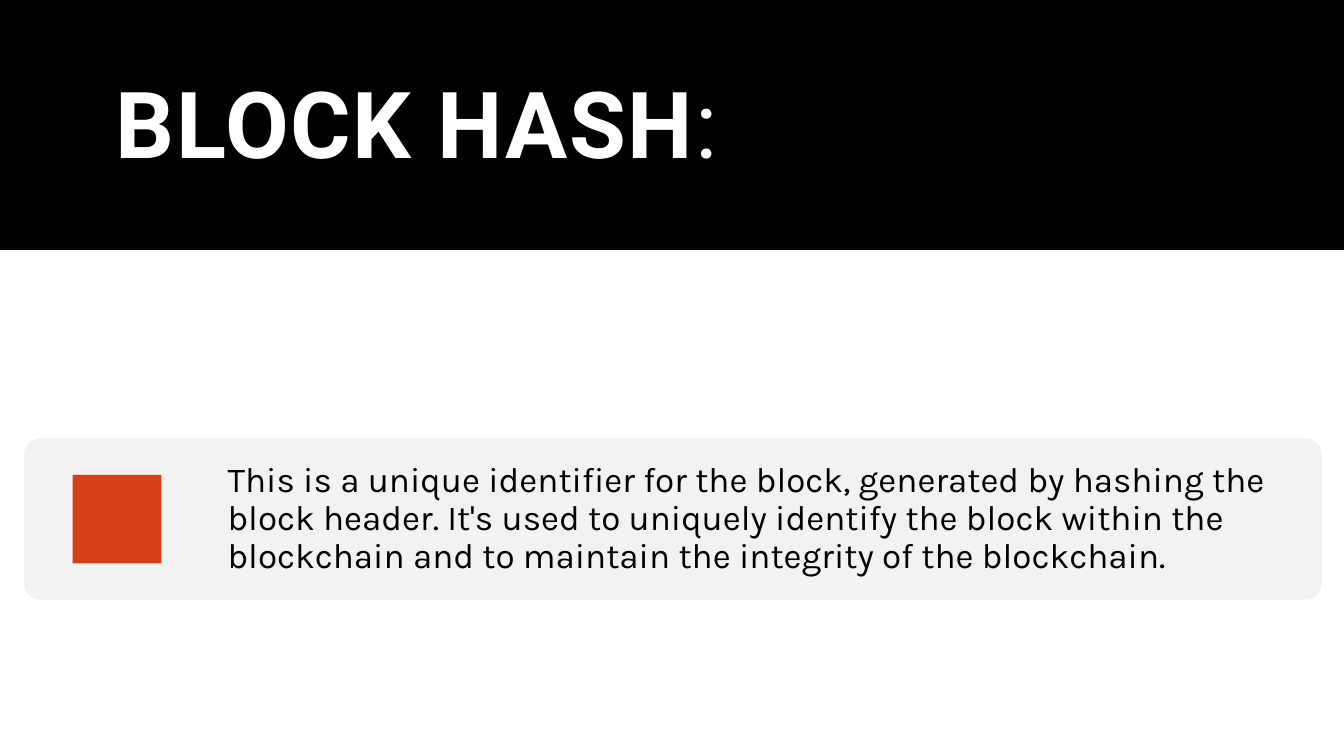
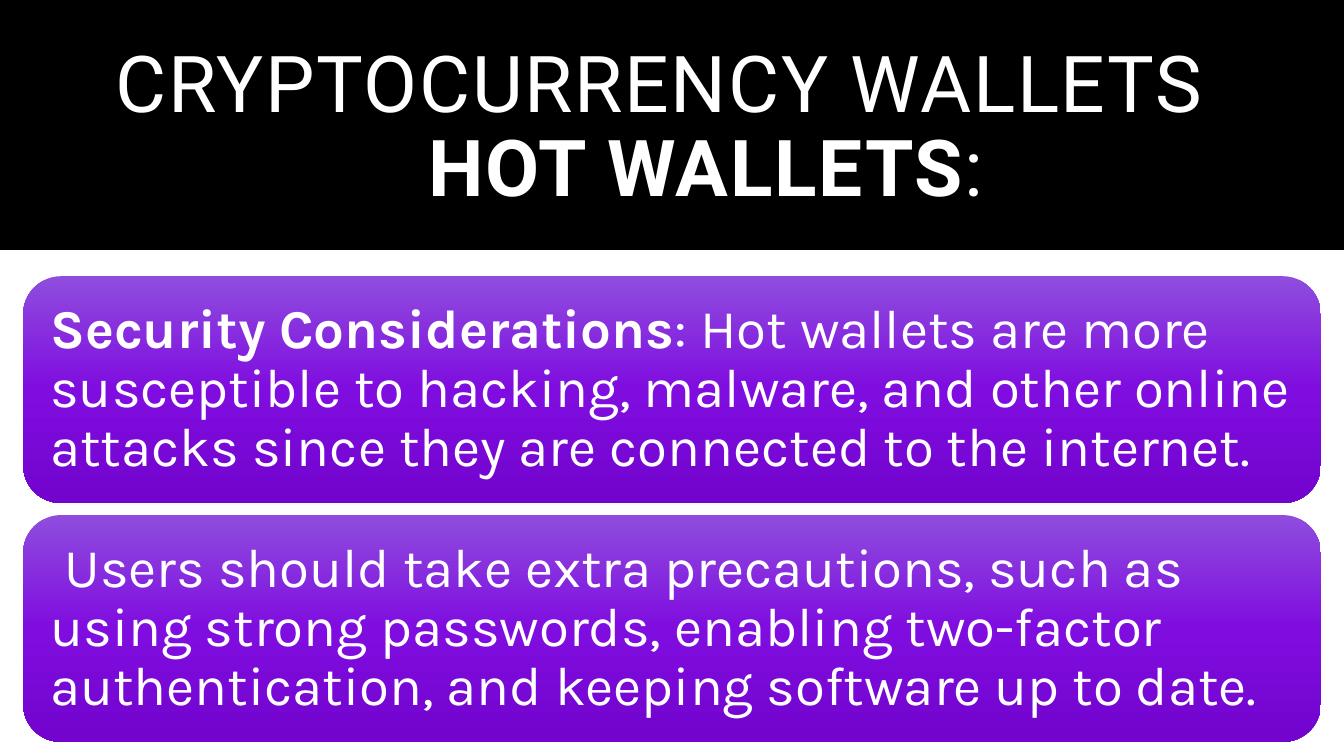
from copy import deepcopy
from dataclasses import dataclass

from pptx import Presentation
from pptx.dml.color import RGBColor
from pptx.enum.shapes import MSO_SHAPE
from pptx.enum.text import MSO_ANCHOR, MSO_AUTO_SIZE, PP_ALIGN
from pptx.oxml.ns import qn
from pptx.util import Inches, Pt


@dataclass(frozen=True)
class Theme:
    background: str = "FFFFFF"
    band: str = "000000"
    title: str = "FFFFFF"
    panel: str = "F2F2F2"
    panel_text: str = "000000"
    marker: str = "D54017"
    card: tuple = ("8E4DDE", "800DDF", "7204CE")
    card_text: str = "FFFFFF"
    title_font: str = "Roboto"
    body_font: str = "Karla"
    title_size: int = 66
    long_title_size: int = 56
    title_spacing: int = 120  # hundredths of a point
    panel_size: int = 25
    card_size: int = 39
    line_spacing: float = 0.9


class Deck:
    def __init__(self, theme):
        self.theme = theme
        self.presentation = Presentation()
        self.presentation.slide_width = Inches(13.33)
        self.presentation.slide_height = Inches(7.5)
        self.slide = None

    def add_slide(self, title_lines, title_size, indents=(0,)):
        theme = self.theme
        title_only = self.presentation.slide_layouts[5]
        self.slide = self.presentation.slides.add_slide(title_only)
        background = self.slide.background.fill
        background.solid()
        background.fore_color.rgb = RGBColor.from_string(theme.background)

        band = self.box(MSO_SHAPE.RECTANGLE, 0, 0, 13.33, 2.48, theme.band)
        band.element.getparent().insert(2, band.element)  # behind the title

        title = self.slide.shapes.title
        title.left, title.top = Inches(1.05), Inches(0.35)
        title.width, title.height = Inches(11.23), Inches(1.86)
        self.set_text(title.text_frame, title_lines, theme.title_font,
                      title_size, theme.title, indents, theme.title_spacing)

    def box(self, preset, left, top, width, height, color=None):
        shape = self.slide.shapes.add_shape(
            preset, Inches(left), Inches(top), Inches(width), Inches(height))
        shape.shadow.inherit = False
        shape.line.fill.background()
        if color:
            shape.fill.solid()
            shape.fill.fore_color.rgb = RGBColor.from_string(color)
        return shape

    def set_text(self, frame, lines, font_name, size, color, indents=(0,), spacing=0):
        """Fill a frame, one paragraph per line; a line is a list of (text, bold) runs."""
        frame.word_wrap = True
        frame.auto_size = MSO_AUTO_SIZE.NONE
        frame.vertical_anchor = MSO_ANCHOR.MIDDLE
        for index, (line, indent) in enumerate(zip(lines, indents)):
            paragraph = frame.paragraphs[0] if index == 0 else frame.add_paragraph()
            paragraph.alignment = PP_ALIGN.LEFT
            paragraph.line_spacing = self.theme.line_spacing
            paragraph.font.name = font_name
            paragraph.font.size = Pt(size)
            paragraph.font.color.rgb = RGBColor.from_string(color)
            properties = paragraph._p.get_or_add_pPr()
            properties.set("indent", str(Inches(indent)))
            properties.find(qn("a:defRPr")).set("spc", str(spacing))
            for text, bold in line:
                run = paragraph.add_run()
                run.text = text
                run.font.bold = bold

    def panel(self, text):
        theme = self.theme
        panel = self.box(MSO_SHAPE.ROUNDED_RECTANGLE,
                         0.24, 4.35, 12.87, 1.6, theme.panel)
        panel.adjustments[0] = 0.1
        frame = panel.text_frame
        frame.margin_left, frame.margin_right = Inches(1.97), Inches(0.12)
        self.set_text(frame, [[(text, False)]], theme.body_font,
                      theme.panel_size, theme.panel_text)
        self.box(MSO_SHAPE.RECTANGLE, 0.72, 4.71, 0.88, 0.88, theme.marker)

    def card(self, top, runs, indent=0):
        theme = self.theme
        card = self.box(MSO_SHAPE.ROUNDED_RECTANGLE, 0.23, top, 12.87, 2.25)
        self.fill_gradient(card, theme.card)
        frame = card.text_frame
        frame.margin_left = frame.margin_right = Inches(0.16)
        self.set_text(frame, [runs], theme.body_font, theme.card_size,
                      theme.card_text, [indent])

    def fill_gradient(self, shape, colors):
        """Fill from top to bottom with evenly spaced colours."""
        shape.fill.gradient()
        shape.fill.gradient_angle = 270
        stop_list = shape.element.spPr.find(".//" + qn("a:gsLst"))
        while len(stop_list) < len(colors):
            stop_list.append(deepcopy(stop_list[0]))
        for index, (stop, color) in enumerate(zip(shape.fill.gradient_stops, colors)):
            stop.position = index / (len(colors) - 1)
            stop.color.rgb = RGBColor.from_string(color)


def main():
    theme = Theme()
    deck = Deck(theme)

    deck.add_slide([[("BLOCK HASH", True), (":", False)]], theme.title_size)
    deck.panel("This is a unique identifier for the block, generated by hashing "
               "the block header. It's used to uniquely identify the block within "
               "the blockchain and to maintain the integrity of the blockchain.")

    deck.add_slide([[("CRYPTOCURRENCY WALLETS", False)],
                    [("HOT WALLETS", True), (":", False)]],
                   theme.long_title_size, indents=(0, 3.1))
    deck.card(2.74, [
        ("Security Considerations", True),
        (": Hot wallets are more susceptible to hacking, malware, and other "
         "online attacks since they are connected to the internet.", False)])
    deck.card(5.11, [
        ("Users should take extra precautions, such as using strong passwords, "
         "enabling two-factor authentication, and keeping software up to date.",
         False)], indent=0.14)

    deck.presentation.save("out.pptx")


if __name__ == "__main__":
    main()
